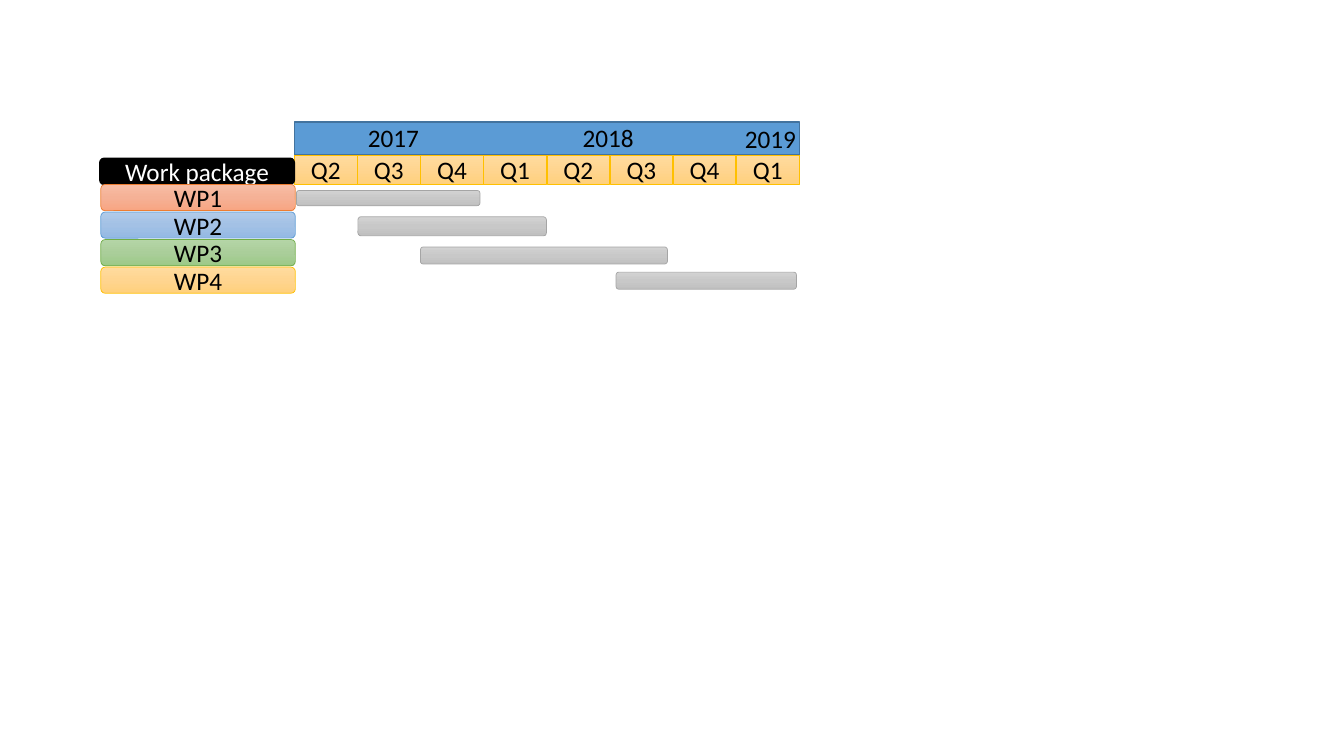
import copy

import pptx
import pptx.dml.color
import pptx.enum.shapes
import pptx.enum.text
import pptx.util
from pptx.util import Inches

THEME = {
    "font": {"name": "Calibri", "size": pptx.util.Pt(18)},
    "black": "000000",
    "white": "FFFFFF",
    # Each style: fill stops from top to bottom, line colour, line width in points
    "header": (["5B9BD5"], "43739E", 1),
    "title": (["000000"], "000000", 1),
    "orange": (["F7BDA5", "F5B196", "F8A582"], "ED7D31", 0.5),
    "blue": (["B1CBE9", "A3C1E5", "93B9E4"], "5B9BD5", 0.5),
    "green": (["B5D5A7", "AACE9A", "9CC987"], "70AD47", 0.5),
    "gold": (["FFDB9E", "FFD590", "FFD07C"], "FFC000", 0.5),
    "grey": (["D2D2D2", "C8C8C8", "C0C0C0"], "A5A5A5", 0.5),
}
RECTANGLE = pptx.enum.shapes.MSO_SHAPE.RECTANGLE
ROUNDED = pptx.enum.shapes.MSO_SHAPE.ROUNDED_RECTANGLE
rgb = pptx.dml.color.RGBColor.from_string


def write(shape, text, color):
    """Put one line of themed text into a shape."""
    paragraph = shape.text_frame.paragraphs[0]
    run = paragraph.add_run()
    run.text = text
    for attribute, value in THEME["font"].items():
        setattr(run.font, attribute, value)
    run.font.color.rgb = rgb(color)
    return paragraph


def add_box(kind, style, left, top, width, height, text="", color=THEME["black"]):
    """Draw a box in a theme style, with optional centred text."""
    shape = slide.shapes.add_shape(
        kind, Inches(left), Inches(top), Inches(width), Inches(height))
    shape.shadow.inherit = False
    stops, line_color, line_width = THEME[style]
    if len(stops) == 1:
        shape.fill.solid()
        shape.fill.fore_color.rgb = rgb(stops[0])
    else:
        shape.fill.gradient()
        shape.fill.gradient_angle = 270
        first = shape._element.spPr.find(".//" + pptx.oxml.ns.qn("a:gs"))
        middle = copy.deepcopy(first)
        middle.set("pos", "50000")
        first.addnext(middle)
        for stop, stop_color in zip(shape.fill.gradient_stops, stops):
            stop.color.rgb = rgb(stop_color)
    shape.line.color.rgb = rgb(line_color)
    shape.line.width = pptx.util.Pt(line_width)
    if text:
        write(shape, text, color).alignment = pptx.enum.text.PP_ALIGN.CENTER


presentation = pptx.Presentation()
presentation.slide_width, presentation.slide_height = Inches(13.33), Inches(7.5)
slide = presentation.slides.add_slide(presentation.slide_layouts[6])

# Timeline header: years above quarters
timeline_left, timeline_width = 2.92, 5.01
quarters = ["Q2", "Q3", "Q4", "Q1", "Q2", "Q3", "Q4", "Q1"]
quarter_width = timeline_width / len(quarters)
add_box(RECTANGLE, "header", timeline_left, 1.21, timeline_width, 0.33)
for index, quarter in enumerate(quarters):
    add_box(RECTANGLE, "gold", timeline_left + index * quarter_width, 1.54,
            0.62, 0.29, quarter)

years = [("2017", 3.55, 1.16, 0.8), ("2018", 5.68, 1.16, 2.01), ("2019", 7.29, 1.17, 2.01)]
for year, left, top, width in years:
    text_box = slide.shapes.add_textbox(
        Inches(left), Inches(top), Inches(width), Inches(0.4))
    text_box.text_frame.word_wrap = True
    text_box.text_frame.auto_size = pptx.enum.text.MSO_AUTO_SIZE.SHAPE_TO_FIT_TEXT
    write(text_box, year, THEME["black"])

# Work packages: label style, then left, top, width and height of the bar
label_width, label_height = 1.93, 0.26
first_row, row_pitch = 1.83, 0.82 / 3
add_box(ROUNDED, "title", 0.99, 1.57, label_width, label_height,
        "Work package", THEME["white"])
packages = [
    ("orange", (2.94, 1.89, 1.82, 0.15)),
    ("blue", (3.55, 2.15, 1.87, 0.19)),
    ("green", (4.17, 2.45, 2.45, 0.17)),
    ("gold", (6.11, 2.7, 1.79, 0.17)),
]
for row, (style, bar) in enumerate(packages):
    add_box(ROUNDED, style, 1, first_row + row * row_pitch, label_width, label_height,
            f"WP{row + 1}")
    add_box(ROUNDED, "grey", *bar)

presentation.save("out.pptx")
